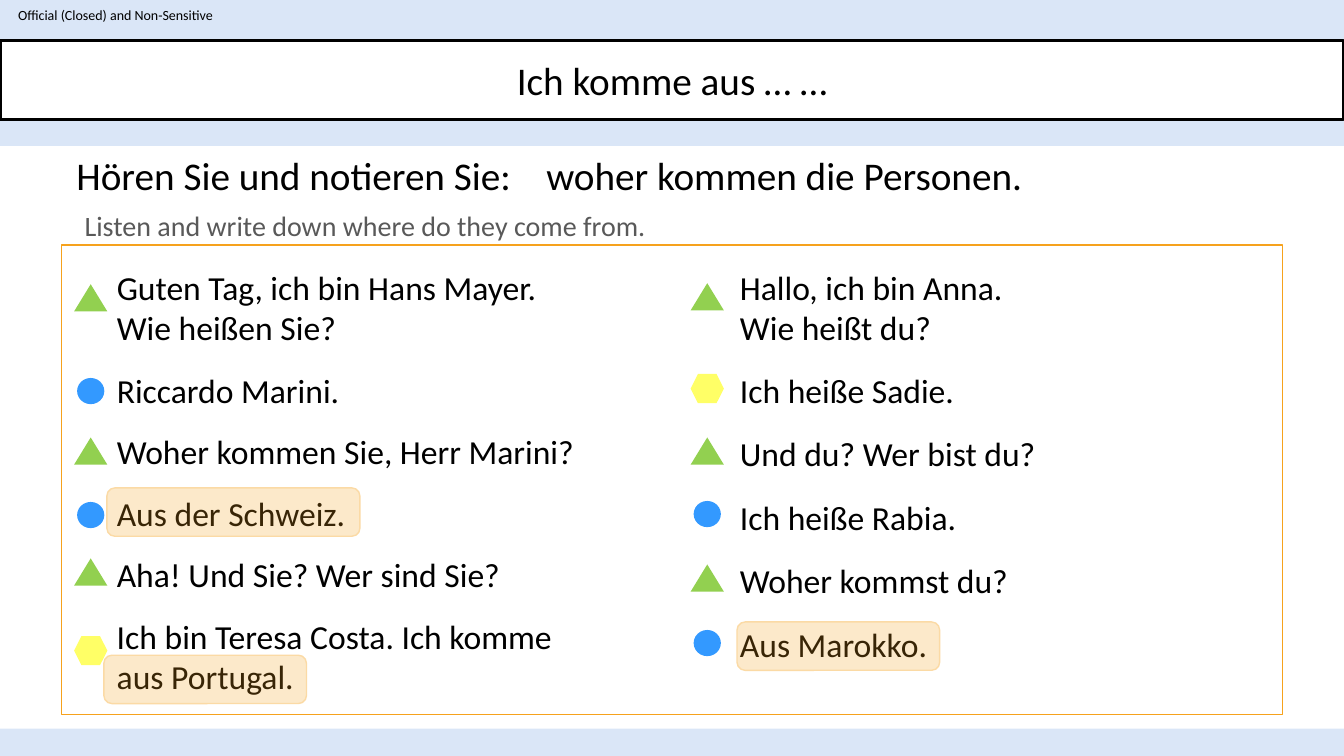
"""Build a German listening exercise slide with two dialogue columns."""
from lxml import etree
from pptx import Presentation
from pptx import util as u
from pptx.dml import color
from pptx.enum import shapes, text
from pptx.oxml import ns

HUES = {
    "back": "DAE6F7", "white": "FFFFFF", "black": "000000", "gray": "595959",
    "gold": "F6A21D", "sand": "FBDAA5", "green": "92D050", "blue": "3399FF",
    "lemon": "FFFF66",
}
KIND = shapes.MSO_SHAPE
ICONS = {
    "host": (KIND.ISOSCELES_TRIANGLE, 0.33, 0.27, "green"),
    "guest": (KIND.OVAL, 0.27, 0.26, "blue"),
    "third": (KIND.HEXAGON, 0.33, 0.29, "lemon"),
}
LEFT = [
    (["Guten Tag, ich bin Hans Mayer. Wie heißen Sie?"], 4.52, "host", 2.82),
    (["Riccardo Marini."], 4.52, "guest", 3.75),
    (["Woher kommen Sie, Herr Marini?"], 5.09, "host", 4.34),
    (["Aus der Schweiz."], 5.09, "guest", 4.98),
    (["Aha! Und Sie? Wer sind Sie?"], 5.09, "host", 5.54),
    (["Ich bin Teresa Costa. Ich komme aus Portugal."], 4.86, "third", 6.31),
]
RIGHT = [
    (["Hallo, ich bin Anna.", "Wie heißt du?"], 4.52, "host", 2.81),
    (["Ich heiße Sadie."], 4.52, "third", 3.71),
    (["Und du? Wer bist du?"], 5.09, "host", 4.34),
    (["Ich heiße Rabia."], 5.09, "guest", 4.97),
    (["Woher kommst du?"], 5.09, "host", 5.6),
    (["Aus Marokko."], 5.09, "guest", 6.25),
]


def tint(name):
    """Return the named colour."""
    return color.RGBColor.from_string(HUES[name])


def span(box):
    """Turn a box in inches into lengths."""
    return [u.Inches(n) for n in box]


def shape(page, kind, box, fill, line=None, width=1):
    """Add a flat shape with an optional outline."""
    item = page.shapes.add_shape(kind, *span(box))
    item.shadow.inherit = False
    item.fill.solid()
    item.fill.fore_color.rgb = tint(fill)
    if line:
        item.line.color.rgb = tint(line)
        item.line.width = u.Pt(width)
    else:
        item.line.fill.background()
    return item


def write(para, words, size, hue="black"):
    """Add one run to a paragraph."""
    run = para.add_run()
    run.text = words
    run.font.name = "Calibri"
    run.font.size = u.Pt(size)
    run.font.color.rgb = tint(hue)


def label(page, box, lines, size, hue="black"):
    """Add a wrapped text box with one paragraph per line."""
    frame = page.shapes.add_textbox(*span(box)).text_frame
    frame.word_wrap = True
    for i, words in enumerate(lines):
        para = frame.add_paragraph() if i else frame.paragraphs[0]
        write(para, words, size, hue)
    return frame


def header(page, box):
    """Place the notice and the title bar."""
    x, y, w, h = box
    note = label(page, (x, y, 2.29, 0.29),
                 ["Official (Closed) and Non-Sensitive"], 10)
    note.margin_left = u.Inches(0.18)
    note.margin_right = note.margin_top = note.margin_bottom = 0
    note.vertical_anchor = text.MSO_ANCHOR.MIDDLE
    bar = shape(page, KIND.RECTANGLE, (x, y + 0.4, w, h - 0.4),
                "white", "black", 2.25)
    frame = bar.text_frame
    frame.vertical_anchor = text.MSO_ANCHOR.MIDDLE
    para = frame.paragraphs[0]
    para.alignment = text.PP_ALIGN.CENTER
    write(para, "Ich komme aus … …", 28)


def task(page, box):
    """Place the white panel, the task and its translation."""
    x, y, w, h = box
    shape(page, KIND.RECTANGLE, box, "white")
    shape(page, KIND.RECTANGLE, (x + 0.61, y + 0.98, 12.11, 4.66),
          "white", "gold")
    frame = label(page, (x + 0.66, y, 10.92, 0.57),
                  ["Hören Sie und notieren Sie:\twoher kommen die Personen."], 28)
    props = frame.paragraphs[0]._p.get_or_add_pPr()
    tabs = etree.SubElement(props, ns.qn("a:tabLst"))
    etree.SubElement(tabs, ns.qn("a:tab"), pos=str(u.Inches(4.66)), algn="l")
    frame = label(page, (x + 0.74, y + 0.5, 6.64, 0.47),
                  ["Listen and write down where do they come from."], 20, "gray")
    para = frame.paragraphs[0]
    para.line_spacing = 1.2
    para.space_after = u.Pt(3)


def talk(page, box, rows, indent, pitch):
    """Place a column of lines, each with its speaker's icon."""
    x, y, w, h = box
    last = y + h
    for i, (lines, width, who, top) in enumerate(rows):
        place = last - (len(rows) - 1 - i) * pitch if i else y
        tall = 0.5 if 0 < i < len(rows) - 1 else 0.91
        label(page, (x + indent, place, width, tall), lines, 24)
        kind, wide, high, fill = ICONS[who]
        shape(page, kind, (x + (w - wide) / 2, top, wide, high), fill)


def mark(page, box):
    """Lay a see-through highlight over an answer."""
    item = shape(page, KIND.ROUNDED_RECTANGLE, box, "gold", "sand")
    hue = item.fill._xPr.find(ns.qn("a:solidFill"))[0]
    etree.SubElement(hue, ns.qn("a:alpha"), val="23000")


def main():
    """Build and save the slide."""
    deck = Presentation()
    deck.slide_width, deck.slide_height = span((13.33, 7.5))
    page = deck.slides.add_slide(deck.slide_layouts[6])
    page.background.fill.solid()
    page.background.fill.fore_color.rgb = tint("back")
    header(page, (0, 0, 13.33, 1.19))
    task(page, (0, 1.45, 13.33, 5.78))
    talk(page, (0.73, 2.6, 0.34, 3.46), LEFT, 0.33, 0.61)
    talk(page, (6.85, 2.6, 0.33, 3.54), RIGHT, 0.39, 0.63)
    for box in ((1.06, 4.84, 2.51, 0.48), (1.03, 6.5, 2.01, 0.48),
                (7.31, 6.17, 2.01, 0.48)):
        mark(page, box)
    deck.save("out.pptx")


if __name__ == "__main__":
    main()
